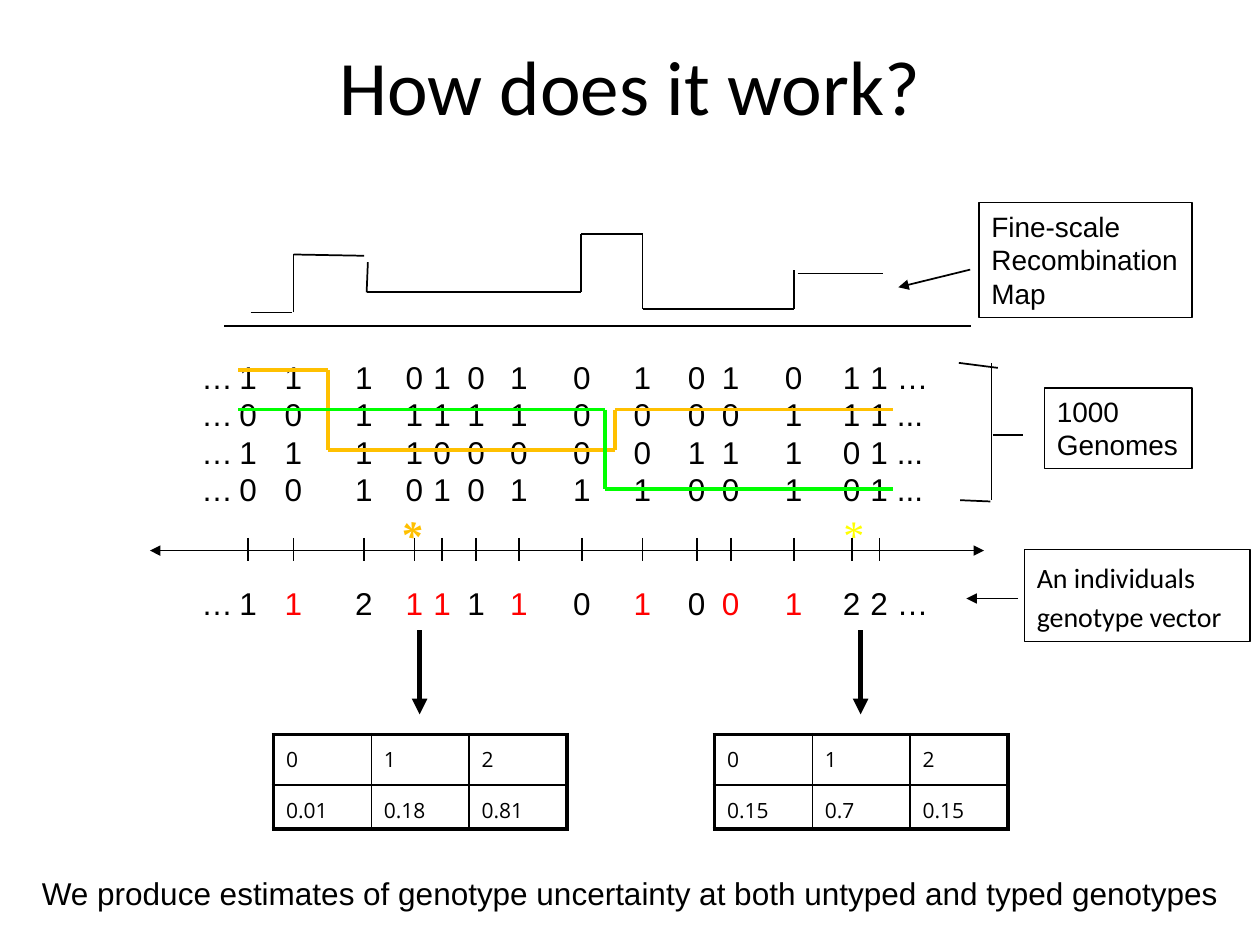
"""Build the slide explaining genotype imputation from haplotypes and a recombination map."""
from itertools import pairwise

from lxml.etree import SubElement
from pptx import Presentation
from pptx.dml.color import RGBColor
from pptx.enum.shapes import MSO_CONNECTOR, MSO_SHAPE
from pptx.enum.text import MSO_ANCHOR, PP_ALIGN
from pptx.oxml.ns import qn
from pptx.util import Inches, Pt

THEME = {
    "black": RGBColor(0, 0, 0),
    "red": RGBColor(0xFF, 0, 0),
    "orange": RGBColor(0xFF, 0xC0, 0),
    "yellow": RGBColor(0xFF, 0xFF, 0),
    "green": RGBColor(0, 0xFF, 0),
    "title": 44, "star": 24, "body": 18, "label": 16, "cell": 12,
}

presentation = Presentation()
presentation.slide_width = Inches(10)
presentation.slide_height = Inches(7.5)
slide = presentation.slides.add_slide(presentation.slide_layouts[6])


def add_text(box, lines, font, size, color="black", align=PP_ALIGN.LEFT, spacing=1.0, wrap=True):
    """Fill a shape with one paragraph per line and return its paragraphs."""
    frame = box.text_frame
    frame.word_wrap = wrap
    frame.vertical_anchor = MSO_ANCHOR.TOP
    frame.text = "\n".join(lines)
    for paragraph in frame.paragraphs:
        paragraph.alignment = align
        paragraph.line_spacing = spacing
        paragraph.font.name = font
        paragraph.font.size = Pt(THEME[size])
        paragraph.font.color.rgb = THEME[color]
    return frame.paragraphs


def add_path(points, width=1, color="black", arrows=()):
    """Join consecutive points with straight connectors."""
    for start, end in pairwise(points):
        line = slide.shapes.add_connector(
            MSO_CONNECTOR.STRAIGHT, *[Inches(value) for value in (*start, *end)])
        line.line.color.rgb = THEME[color]
        line.line.width = Pt(width)
        properties = line._element.spPr
        for arrow in arrows:
            SubElement(properties.find(qn("a:ln")), qn(f"a:{arrow}"), type="triangle")
        SubElement(properties, qn("a:effectLst"))


title = slide.shapes.add_textbox(Inches(0.5), Inches(0.05), Inches(9), Inches(1.25))
add_text(title, ["How does it work?"], "Calibri", "title", align=PP_ALIGN.CENTER)
title.text_frame.vertical_anchor = MSO_ANCHOR.MIDDLE

sites = [1.97, 2.33, 2.89, 3.29, 3.51, 3.78, 4.12, 4.62, 5.1, 5.53, 5.8, 6.3, 6.76, 6.98]
haplotypes = [("11101010101011", "…"), ("00111110000111", "..."),
              ("11110000011101", "..."), ("00101011100101", "...")]
genotypes = [("11211110100122", "…")]
untyped_sites = {1, 3, 4, 6, 8, 10, 11}
text_left = 1.6

for top, height, rows in [(2.79, 1.3, haplotypes), (4.59, 0.4, genotypes)]:
    box = slide.shapes.add_textbox(Inches(text_left - 0.1), Inches(top), Inches(6.1), Inches(height))
    lines = ["\t".join(["…", *alleles, ending]) for alleles, ending in rows]
    paragraphs = add_text(box, lines, "Arial", "body", spacing=Pt(21.5))
    for paragraph in paragraphs:
        tab_stops = SubElement(paragraph._p.get_or_add_pPr(), qn("a:tabLst"))
        paragraph._p.pPr.insert_element_before(tab_stops, "a:defRPr")
        for site in sites:
            SubElement(tab_stops, qn("a:tab"), pos=str(Inches(site - text_left)), algn="ctr")
        SubElement(tab_stops, qn("a:tab"), pos=str(Inches(7.12 - text_left)), algn="l")
    if rows is genotypes:
        paragraph = paragraphs[0]
        for run in list(paragraph.runs):
            paragraph._p.remove(run._r)
        alleles, ending = genotypes[0]
        paragraph.add_run().text = "…"
        for index, allele in enumerate(alleles):
            run = paragraph.add_run()
            run.text = "\t" + allele
            if index in untyped_sites:
                run.font.color.rgb = THEME["red"]
        paragraph.add_run().text = "\t" + ending

labels = [
    (7.77, 1.61, 1.69, 0.91, ["Fine-scale", "Recombination", "Map"], "Arial", 1.0),
    (8.29, 3.08, 1.17, 0.64, ["1000", "Genomes"], "Arial", 1.0),
    (8.13, 4.36, 1.79, 0.73, ["An individuals", "genotype vector"], "Calibri", 1.16),
]
for left, top, width, height, lines, font, spacing in labels:
    label = slide.shapes.add_shape(
        MSO_SHAPE.RECTANGLE, Inches(left), Inches(top), Inches(width), Inches(height))
    label.shadow.inherit = False
    label.fill.background()
    label.line.color.rgb = THEME["black"]
    label.line.width = Pt(0.75)
    add_text(label, lines, font, "label", spacing=spacing, wrap=False)

recombination_map = [
    [(1.99, 2.48), (2.32, 2.48)],
    [(2.33, 2.48), (2.33, 2.02), (2.89, 2.03)],
    [(2.92, 2.08), (2.91, 2.32), (4.61, 2.32), (4.61, 1.86), (5.1, 1.86),
     (5.1, 2.45), (6.3, 2.45), (6.3, 2.14)],
    [(6.33, 2.17), (7.01, 2.17)],
    [(1.78, 2.59), (7.71, 2.59)],
]
genomes_bracket = [
    [(7.61, 2.88), (7.92, 2.92)],
    [(7.87, 2.88), (7.87, 3.97)],
    [(7.62, 3.97), (7.86, 3.98)],
    [(7.88, 3.45), (8.12, 3.45)],
]
for points in recombination_map + genomes_bracket:
    add_path(points)
add_path([(7.7, 2.14), (7.13, 2.28)], arrows=["tailEnd"])
add_path([(8.08, 4.75), (7.67, 4.75)], 0.75, arrows=["tailEnd"])

add_path([(1.89, 2.94), (2.6, 2.94), (2.6, 3.57), (4.88, 3.57), (4.88, 3.25), (7.09, 3.25)],
         2.25, "orange")
add_path([(1.89, 3.25), (4.8, 3.25), (4.8, 3.88), (7.09, 3.88)], 2.25, "green")

for left, color, bold in [(3.08, "orange", True), (6.58, "yellow", False)]:
    star = slide.shapes.add_textbox(Inches(left), Inches(3.92), Inches(0.37), Inches(0.53))
    paragraph = add_text(star, ["*"], "Times New Roman", "star", color, spacing=1.16, wrap=False)[0]
    paragraph.font.bold = bold
    paragraph.font.italic = True

add_path([(1.19, 4.37), (7.81, 4.37)], arrows=["headEnd", "tailEnd"])
for site in sites:
    add_path([(site, 4.27), (site, 4.45)])

row_heights = [0.4, 0.35]
probabilities = [(2.17, ["0.01", "0.18", "0.81"]), (5.67, ["0.15", "0.7", "0.15"])]
for left, values in probabilities:
    center = left + 1.16
    add_path([(center, 5), (center, 5.67)], 3, arrows=["tailEnd"])
    table_frame = slide.shapes.add_table(
        2, 3, Inches(left), Inches(5.83), Inches(2.33), Inches(sum(row_heights)))
    table = table_frame.table
    table.first_row = table.horz_banding = False
    for column in table.columns:
        column.width = Inches(2.33 / 3)
    for row_index, texts in enumerate([["0", "1", "2"], values]):
        table.rows[row_index].height = Inches(row_heights[row_index])
        for column_index, text in enumerate(texts):
            cell = table.cell(row_index, column_index)
            cell.margin_bottom = Inches(0.02)
            cell.text = text
            paragraph = cell.text_frame.paragraphs[0]
            paragraph.line_spacing = 1.15
            paragraph.font.name = "Open Sans"
            paragraph.font.size = Pt(THEME["cell"])
            paragraph.font.color.rgb = THEME["black"]
            outer_sides = {"lnL": column_index == 0, "lnR": column_index == 2,
                           "lnT": row_index == 0, "lnB": row_index == 1}
            cell_properties = cell._tc.get_or_add_tcPr()
            for side, is_outer in outer_sides.items():
                border = SubElement(cell_properties, qn(f"a:{side}"), w=str(Pt(2.25 if is_outer else 1)))
                fill = SubElement(border, qn("a:solidFill"))
                SubElement(fill, qn("a:srgbClr"), val=str(THEME["black"]))
            cell.fill.background()

caption = slide.shapes.add_textbox(Inches(0), Inches(6.84), Inches(10), Inches(0.42))
add_text(caption, ["We produce estimates of genotype uncertainty at both untyped and typed genotypes"],
         "Arial", "body", align=PP_ALIGN.CENTER, spacing=1.16)

presentation.save("out.pptx")
